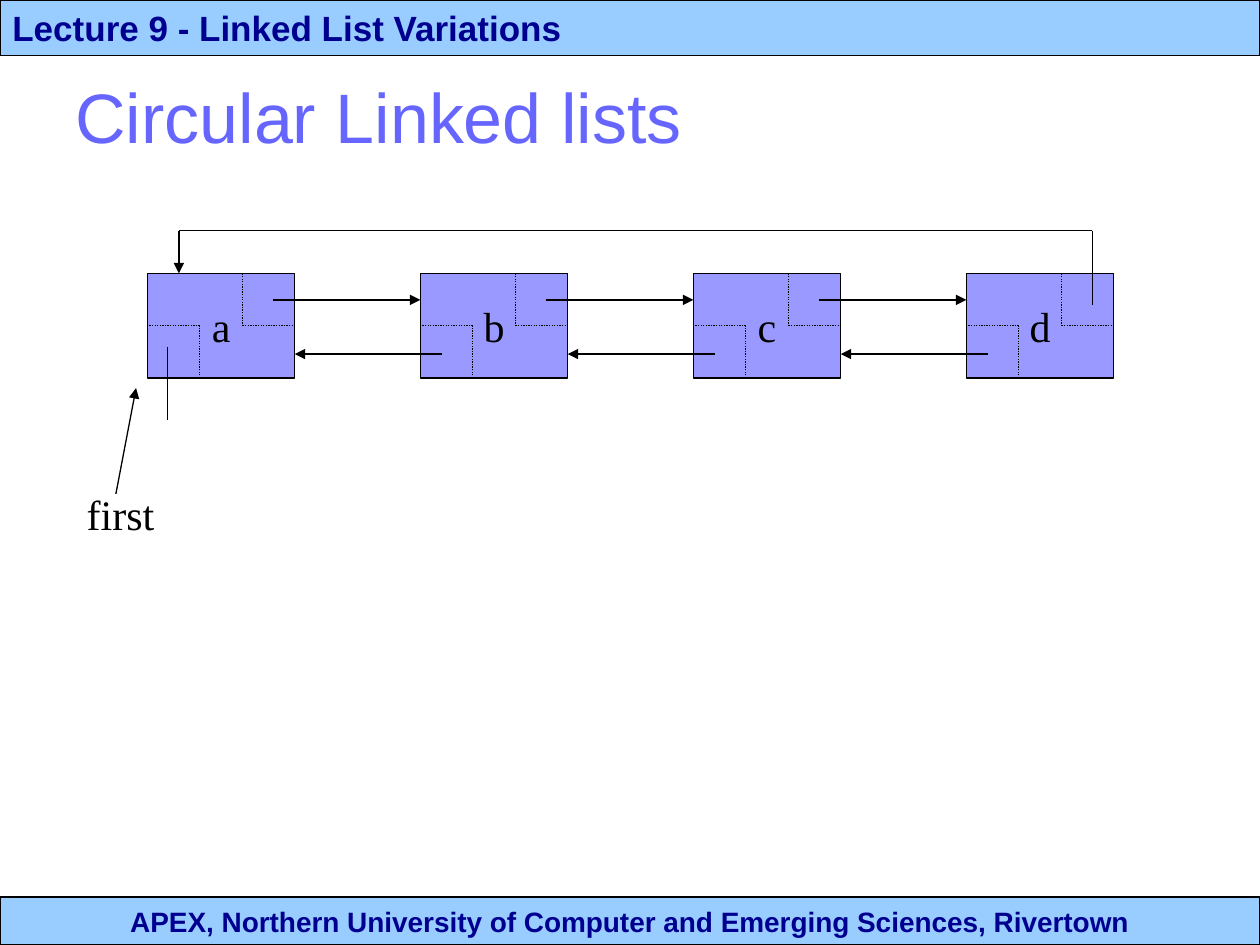
from dataclasses import dataclass

from lxml import etree
from pptx import Presentation
from pptx.dml.color import RGBColor
from pptx.enum.dml import MSO_LINE
from pptx.enum.shapes import MSO_CONNECTOR, MSO_SHAPE
from pptx.enum.text import MSO_ANCHOR, PP_ALIGN
from pptx.oxml.ns import qn
from pptx.util import Inches, Pt

RECTANGLE = MSO_SHAPE.RECTANGLE
STRAIGHT = MSO_CONNECTOR.STRAIGHT
DOTTED = MSO_LINE.ROUND_DOT
LEFT, CENTER = PP_ALIGN.LEFT, PP_ALIGN.CENTER
MIDDLE = MSO_ANCHOR.MIDDLE

SLIDE_WIDTH, SLIDE_HEIGHT = 10, 7.5
NODE_LABELS = ["a", "b", "c", "d"]
NODE_LEFT, NODE_TOP = 1.17, 2.17
NODE_WIDTH, NODE_HEIGHT = 1.17, 0.83
NODE_PITCH = 6.5 / 3
CELL_SIZE = NODE_HEIGHT / 2
NEXT_Y, PREVIOUS_Y = 2.38, 2.81
LOOP_Y = 1.83


@dataclass(frozen=True)
class Theme:
    sans: str = "Arial"
    serif: str = "Times New Roman"
    band: RGBColor = RGBColor(0x99, 0xCC, 0xFF)
    band_text: RGBColor = RGBColor(0x00, 0x00, 0x90)
    node: RGBColor = RGBColor(0x99, 0x99, 0xFF)
    title: RGBColor = RGBColor(0x66, 0x66, 0xFF)
    ink: RGBColor = RGBColor(0, 0, 0)
    title_size: int = 40
    label_size: int = 24
    header_size: int = 20
    footer_size: int = 16
    line_width: float = 0.75


class SlideBuilder:
    def __init__(self, slide, theme):
        self.slide = slide
        self.theme = theme

    def set_text(self, shape, text, font_name, size, color,
                 alignment=LEFT, bold=False, wrap=True):
        frame = shape.text_frame
        frame.word_wrap = wrap
        frame.vertical_anchor = MIDDLE
        paragraph = frame.paragraphs[0]
        paragraph.text = text
        paragraph.alignment = alignment
        font = paragraph.font
        font.name, font.size, font.bold = font_name, Pt(size), bold
        font.color.rgb = color

    def box(self, left, top, width, height, fill):
        shape = self.slide.shapes.add_shape(
            RECTANGLE, Inches(left), Inches(top), Inches(width), Inches(height))
        shape.shadow.inherit = False
        shape.fill.solid()
        shape.fill.fore_color.rgb = fill
        shape.line.color.rgb = self.theme.ink
        shape.line.width = Pt(self.theme.line_width)
        return shape

    def band(self, top, height, text, size, alignment):
        shape = self.box(0, top, SLIDE_WIDTH, height, self.theme.band)
        self.set_text(shape, text, self.theme.sans, size, self.theme.band_text,
                      alignment, bold=True)

    def text(self, left, top, width, height, text, font_name, size, color):
        shape = self.slide.shapes.add_textbox(
            Inches(left), Inches(top), Inches(width), Inches(height))
        self.set_text(shape, text, font_name, size, color)

    def line(self, start, end, arrow=False, dash=None):
        connector = self.slide.shapes.add_connector(
            STRAIGHT, *(Inches(value) for value in (*start, *end)))
        connector.line.color.rgb = self.theme.ink
        connector.line.width = Pt(self.theme.line_width)
        if dash is not None:
            connector.line.dash_style = dash
        properties = connector._element.spPr
        if arrow:
            etree.SubElement(properties.find(qn("a:ln")), qn("a:tailEnd"),
                             type="triangle")
        etree.SubElement(properties, qn("a:effectLst"))

    def node(self, left, label):
        """Draw a list node with its dotted next and previous cells."""
        shape = self.box(left, NODE_TOP, NODE_WIDTH, NODE_HEIGHT, self.theme.node)
        self.set_text(shape, label, self.theme.serif, self.theme.label_size,
                      self.theme.ink, CENTER, wrap=False)
        right, bottom = left + NODE_WIDTH, NODE_TOP + NODE_HEIGHT
        middle = NODE_TOP + CELL_SIZE
        for side, edge, inner in ((right, NODE_TOP, right - CELL_SIZE),
                                  (left, bottom, left + CELL_SIZE)):
            self.line((inner, edge), (inner, middle), dash=DOTTED)
            self.line((inner, middle), (side, middle), dash=DOTTED)


def main():
    presentation = Presentation()
    presentation.slide_width = Inches(SLIDE_WIDTH)
    presentation.slide_height = Inches(SLIDE_HEIGHT)
    slide = presentation.slides.add_slide(presentation.slide_layouts[6])
    theme = Theme()
    builder = SlideBuilder(slide, theme)

    builder.band(7.12, 0.38,
                 "APEX, Northern University of Computer and Emerging Sciences, Rivertown",
                 theme.footer_size, CENTER)
    builder.band(0, 0.44, "Lecture 9 - Linked List Variations",
                 theme.header_size, LEFT)
    builder.text(0.5, 0.5, 9, 0.83, "Circular Linked lists",
                 theme.sans, theme.title_size, theme.title)

    node_lefts = [NODE_LEFT + index * NODE_PITCH
                  for index in range(len(NODE_LABELS))]
    for left, label in zip(node_lefts, NODE_LABELS):
        builder.node(left, label)
    for left, next_left in zip(node_lefts, node_lefts[1:]):
        right = left + NODE_WIDTH
        builder.line((right - 0.17, NEXT_Y), (next_left, NEXT_Y), arrow=True)
        builder.line((next_left + 0.17, PREVIOUS_Y), (right, PREVIOUS_Y), arrow=True)

    loop_start, loop_end = 8.67, 1.42
    builder.line((loop_start, 2.42), (loop_start, LOOP_Y))
    builder.line((loop_start, LOOP_Y), (loop_end, LOOP_Y))
    builder.line((loop_end, LOOP_Y), (loop_end, NODE_TOP), arrow=True)
    builder.line((1.33, 2.75), (1.33, 3.33))

    builder.text(0.59, 3.83, 0.83, 0.5, "first",
                 theme.serif, theme.label_size, theme.ink)
    builder.line((0.92, 3.92), (1.08, 3.08), arrow=True)

    presentation.save("out.pptx")


if __name__ == "__main__":
    main()
